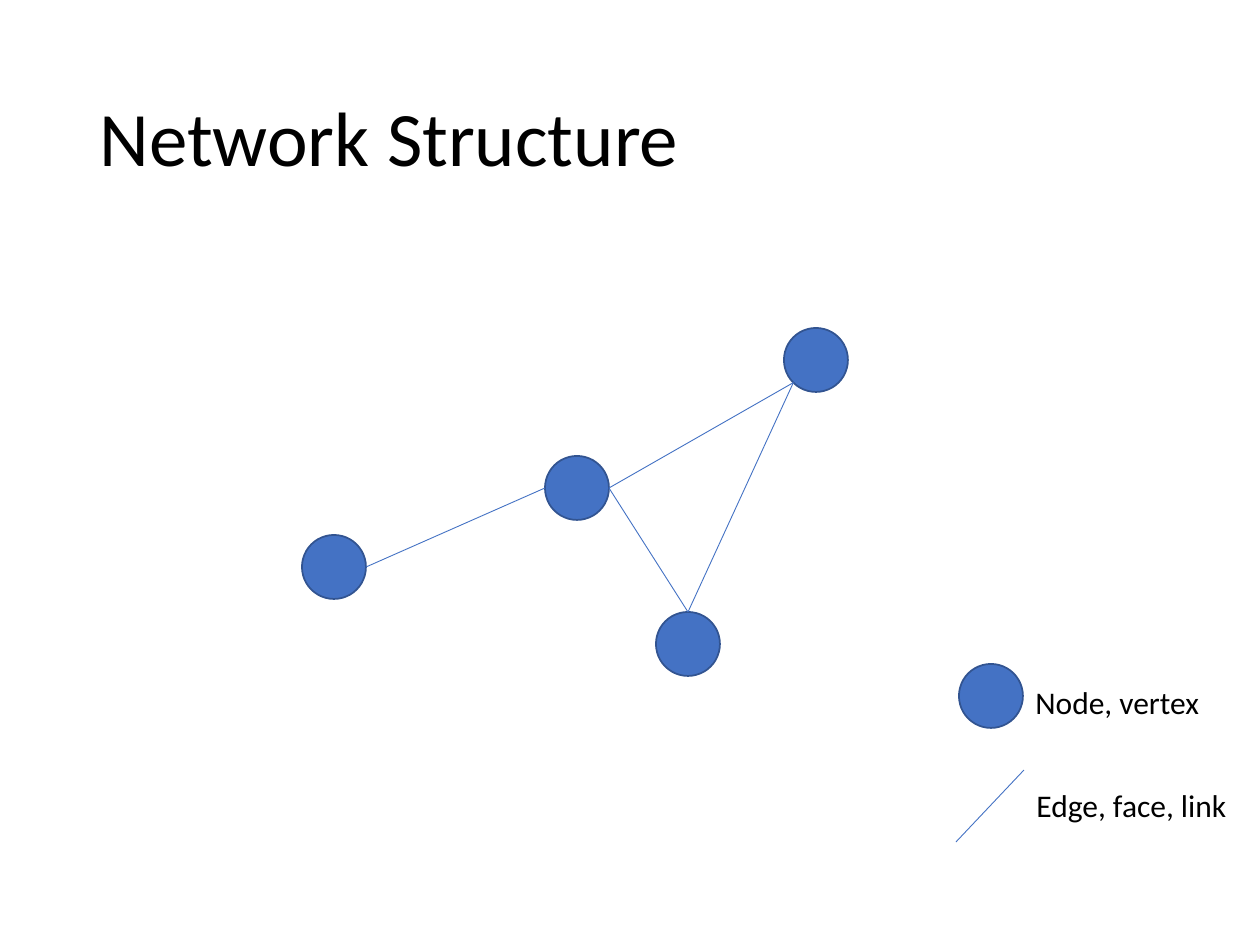
from math import cos, radians, sin

from lxml.etree import SubElement
from pptx import Presentation
from pptx.dml.color import RGBColor
from pptx.enum.shapes import MSO_CONNECTOR, MSO_SHAPE
from pptx.enum.text import MSO_ANCHOR, MSO_AUTO_SIZE, PP_ALIGN
from pptx.oxml.ns import qn
from pptx.util import Emu, Pt

COLORS = {"text": "000000", "node": "4472C4", "outline": "325491", "edge": "4472C4"}
FONT = "Calibri"
RADIUS = 32
NODES = {
    "left": (334, 567),
    "upper": (816, 360),
    "lower": (688, 644),
    "middle": (577, 488),
}
EDGES = [
    ("left", 0, "middle", 180),
    ("middle", 0, "upper", 135),
    ("middle", 0, "lower", 270),
    ("upper", 135, "lower", 270),
]


def px(n):
    return Emu(round(n * 914400 / 126))


def color(name):
    return RGBColor.from_string(COLORS[name])


def style_text(p, size):
    p.font.name = FONT
    p.font.size = Pt(size)
    p.font.color.rgb = color("text")


def add_title(s, text):
    sp = s.shapes.title
    sp.left, sp.top, sp.width, sp.height = px(87), px(50), px(1086), px(183)
    tf = sp.text_frame
    tf.text = text
    tf.vertical_anchor = MSO_ANCHOR.MIDDLE
    p = tf.paragraphs[0]
    p.alignment = PP_ALIGN.LEFT
    p.line_spacing = 0.9
    style_text(p, 44)


def add_node(s, x, y):
    sp = s.shapes.add_shape(
        MSO_SHAPE.OVAL, px(x - RADIUS), px(y - RADIUS), px(2 * RADIUS), px(2 * RADIUS)
    )
    sp.shadow.inherit = False
    sp.fill.solid()
    sp.fill.fore_color.rgb = color("node")
    sp.line.color.rgb = color("outline")
    sp.line.width = Pt(1)


def rim(name, angle):
    x, y = NODES[name]
    return x + RADIUS * cos(radians(angle)), y + RADIUS * sin(radians(angle))


def add_edge(s, start, end):
    ends = [px(n) for n in (*start, *end)]
    c = s.shapes.add_connector(MSO_CONNECTOR.STRAIGHT, *ends)
    c.line.color.rgb = color("edge")
    c.line.width = Pt(0.5)
    SubElement(c._element.spPr, qn("a:effectLst"))


def add_label(s, text, x, y, w):
    tf = s.shapes.add_textbox(px(x), px(y), px(w), px(50)).text_frame
    tf.word_wrap = False
    tf.auto_size = MSO_AUTO_SIZE.SHAPE_TO_FIT_TEXT
    tf.text = text
    style_text(tf.paragraphs[0], 18)


def main():
    prs = Presentation()
    prs.slide_width, prs.slide_height = px(1260), px(945)
    s = prs.slides.add_slide(prs.slide_layouts[5])
    add_title(s, "Network Structure")
    for x, y in NODES.values():
        add_node(s, x, y)
    for start, start_angle, end, end_angle in EDGES:
        add_edge(s, rim(start, start_angle), rim(end, end_angle))
    add_label(s, "Node, vertex", 1023, 677, 197)
    add_node(s, 991, 696)
    add_edge(s, (1024, 770), (956, 842))
    add_label(s, "Edge, face, link", 1024, 780, 218)
    prs.save("out.pptx")


if __name__ == "__main__":
    main()
